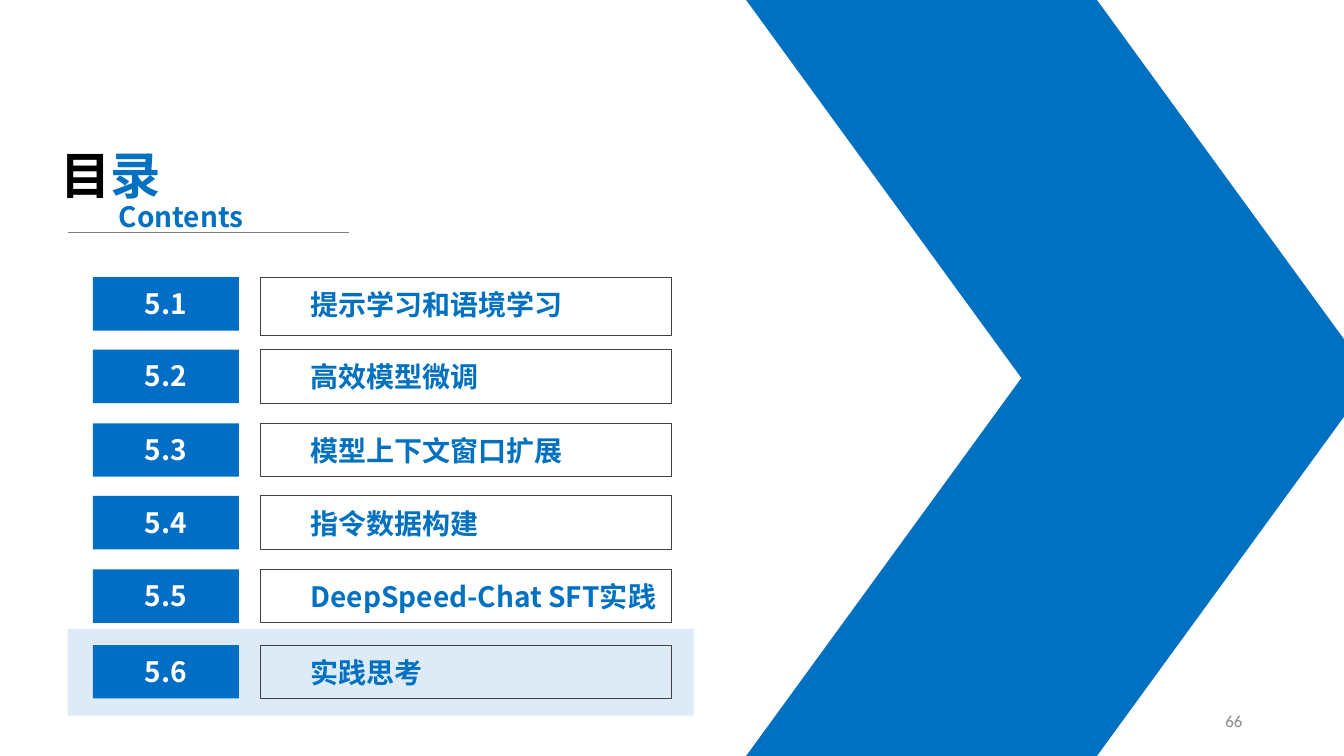
from lxml.etree import SubElement
from pptx import Presentation
from pptx.dml.color import RGBColor
from pptx.enum.shapes import MSO_CONNECTOR, MSO_SHAPE
from pptx.enum.text import MSO_ANCHOR as Anchor, PP_ALIGN as Align
from pptx.oxml.ns import qn
from pptx.util import Inches, Pt

COLORS = {
    "blue": "0070C0", "badge": "006EC5", "band": "DEEBF7", "frame": "404040",
    "rule": "7F7F7F", "number": "898989", "black": "000000", "white": "FFFFFF",
}
CJK_FONT = "Noto Sans CJK SC"
# Top of each row and its topic; the last row is the current section
ROWS = [
    (2.75, "提示学习和语境学习"),
    (3.47, "高效模型微调"),
    (4.2, "模型上下文窗口扩展"),
    (4.92, "指令数据构建"),
    (5.65, "DeepSpeed-Chat SFT实践"),
    (6.4, "实践思考"),
]
ROW_HEIGHT = 0.53


def color(name):
    return RGBColor.from_string(COLORS[name])


def style(para, size, tint=None, name=CJK_FONT, bold=True, align=Align.LEFT):
    para.alignment = align
    font = para.font
    font.size, font.bold, font.name = Pt(size), bold, name
    if tint:
        font.color.rgb = color(tint)
    defaults = para._p.pPr.find(qn("a:defRPr"))
    SubElement(defaults, qn("a:ea")).set("typeface", name)


def add_shape(page, kind, left, top, width, height, fill=None, line=None):
    shape = page.shapes.add_shape(
        kind, Inches(left), Inches(top), Inches(width), Inches(height))
    shape.shadow.inherit = False
    if fill:
        shape.fill.solid()
        shape.fill.fore_color.rgb = color(fill)
    else:
        shape.fill.background()
    if line:
        shape.line.color.rgb = color(line)
        shape.line.width = Pt(0.75)
    else:
        shape.line.fill.background()
    return shape


def write(shape, text, margins, tint, align):
    frame = shape.text_frame
    frame.word_wrap = True
    frame.vertical_anchor = Anchor.TOP
    frame.margin_left, frame.margin_top, frame.margin_right = map(Inches, margins)
    frame.margin_bottom = 0
    frame.text = text
    style(frame.paragraphs[0], 20, tint, align=align)


def add_chevron(page, left, width, height):
    """Two mirrored parallelograms, one above the other."""
    for top, flipped in ((height, False), (0, True)):
        half = add_shape(page, MSO_SHAPE.PARALLELOGRAM, left, top, width, height, "blue")
        half.adjustments[0] = 0.728
        if flipped:
            half._element.spPr.find(qn("a:xfrm")).set("flipV", "1")


def add_heading(page, left, top):
    # Two-colour title
    title = page.shapes.title
    title.left, title.top = Inches(left), Inches(top)
    title.width, title.height = Inches(1.57), Inches(0.71)
    title.text_frame.vertical_anchor = Anchor.TOP
    para = title.text_frame.paragraphs[0]
    style(para, 36)
    for text, tint in (("目", "black"), ("录", "blue")):
        span = para.add_run()
        span.text = text
        span.font.color.rgb = color(tint)

    # Rule under the heading
    y = Inches(top + 0.93)
    rule = page.shapes.add_connector(
        MSO_CONNECTOR.STRAIGHT, Inches(left + 0.17), y, Inches(left + 2.96), y)
    rule.line.color.rgb = color("rule")
    rule.line.width = Pt(0.5)
    SubElement(rule._element.spPr, qn("a:effectLst"))

    # Subtitle
    box = page.shapes.add_textbox(
        Inches(left + 0.58), Inches(top + 0.55), Inches(1.57), Inches(0.44))
    write(box, "Contents", (0.1, 0.05, 0.1), "blue", Align.LEFT)


def add_row(page, number, topic, left, top, frame_height):
    frame = add_shape(page, MSO_SHAPE.RECTANGLE, left + 1.66, top, 4.08, frame_height,
                      line="frame")
    write(frame, topic, (0.5, 0.1, 0), "blue", Align.LEFT)
    badge = add_shape(page, MSO_SHAPE.RECTANGLE, left, top, 1.45, ROW_HEIGHT, "badge")
    write(badge, number, (0.1, 0.09, 0.1), "white", Align.CENTER)


def add_contents(page, left):
    # Band behind the current section
    add_shape(page, MSO_SHAPE.RECTANGLE, left - 0.25, ROWS[-1][0] - 0.16, 6.21, 0.86, "band")
    for index, (top, topic) in enumerate(ROWS, start=1):
        frame_height = 0.58 if index == 1 else ROW_HEIGHT
        add_row(page, f"5.{index}", topic, left, top, frame_height)


def add_page_number(page, text, left, top):
    box = page.shapes.add_textbox(Inches(left), Inches(top), Inches(3), Inches(0.4))
    frame = box.text_frame
    frame.word_wrap = True
    frame.vertical_anchor = Anchor.MIDDLE
    frame.text = text
    style(frame.paragraphs[0], 12, "number", "Calibri", False, Align.RIGHT)


def main():
    deck = Presentation()
    deck.slide_width, deck.slide_height = Inches(13.33), Inches(7.5)
    page = deck.slides.add_slide(deck.slide_layouts[5])
    add_chevron(page, 7.4, 6.21, 3.75)
    add_heading(page, 0.5, 1.38)
    add_contents(page, 0.92)
    add_page_number(page, "66", 9.42, 6.95)
    deck.save("out.pptx")


if __name__ == "__main__":
    main()
